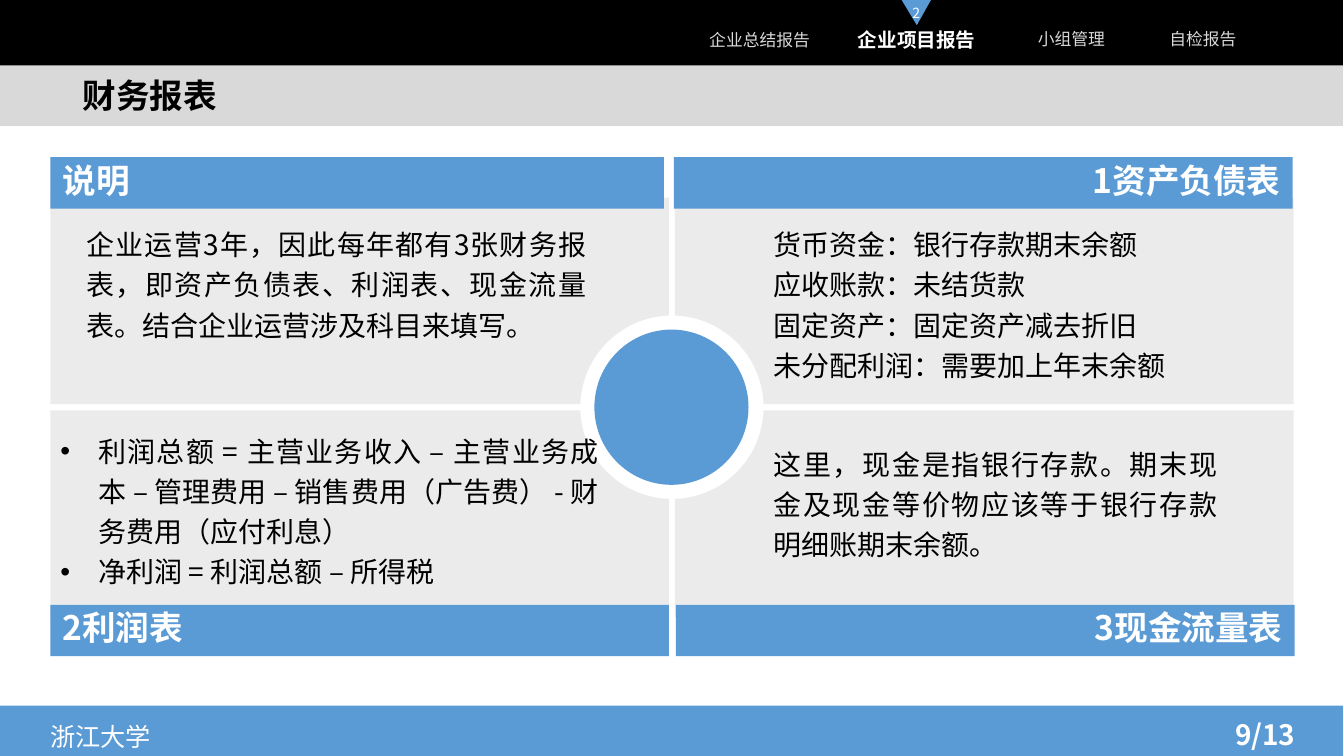
from math import acos, asin, cos, sin

from lxml.etree import SubElement
from pptx import Presentation
from pptx.dml.color import RGBColor
from pptx.enum.shapes import MSO_SHAPE as SHAPE
from pptx.enum.text import MSO_ANCHOR as ANCHOR, PP_ALIGN as ALIGN
from pptx.oxml.ns import qn
from pptx.util import Inches, Pt

BLUE, GREY, BLACK, WHITE = "5B9BD5", "D9D9D9", "000000", "FFFFFF"
CX, CY = 6.67, 4.04
HALF_GAP, PANEL_W, PANEL_H, RING_R = 0.03, 6.14, 2.05, 0.91


def color(value):
    return RGBColor.from_string(value)


class Deck:
    font = "Noto Sans CJK SC"

    def __init__(self, width, height):
        self.prs = Presentation()
        self.prs.slide_width, self.prs.slide_height = Inches(width), Inches(height)
        self.s = self.prs.slides.add_slide(self.prs.slide_layouts[6])

    def paint(self, sp, fill, alpha=None):
        sp.shadow.inherit = False
        sp.fill.solid()
        sp.fill.fore_color.rgb = color(fill)
        sp.line.fill.background()
        if alpha:
            clr = sp._element.spPr.find(qn("a:solidFill"))[0]
            SubElement(clr, qn("a:alpha"), val=str(alpha * 1000))
        return sp

    def shape(self, x, y, w, h, fill, kind=SHAPE.RECTANGLE):
        sp = self.s.shapes.add_shape(kind, Inches(x), Inches(y), Inches(w), Inches(h))
        return self.paint(sp, fill)

    def outline(self, points, fill, alpha=None):
        pts = [(Inches(x), Inches(y)) for x, y in points]
        fb = self.s.shapes.build_freeform(*pts[0])
        fb.add_line_segments(pts[1:], close=True)
        return self.paint(fb.convert_to_shape(), fill, alpha)

    def fill_text(self, sp, text, size=20, ink=BLACK, bold=False, align=ALIGN.LEFT,
                  anchor=ANCHOR.TOP, spacing=None, bullet=False, inset=(0.1, 0.05)):
        tf = sp.text_frame
        tf.word_wrap = True
        tf.vertical_anchor = anchor
        tf.margin_left = tf.margin_right = Inches(inset[0])
        tf.margin_top = tf.margin_bottom = Inches(inset[1])
        for i, line in enumerate(text.split("\n")):
            p = tf.add_paragraph() if i else tf.paragraphs[0]
            p.alignment = align
            if spacing:
                p.line_spacing = spacing
            if bullet:
                pPr = p._p.get_or_add_pPr()
                pPr.set("marL", str(Inches(0.38)))
                pPr.set("indent", str(-Inches(0.38)))
                SubElement(pPr, qn("a:buFont"), typeface="Arial")
                SubElement(pPr, qn("a:buChar"), char="•")
            r = p.add_run()
            r.text = line
            r.font.size, r.font.bold = Pt(size), bold
            r.font.color.rgb = color(ink)
            r.font.name = self.font
            SubElement(r._r.get_or_add_rPr(), qn("a:ea"), typeface=self.font)

    def text(self, x, y, w, h, text, **fmt):
        sp = self.s.shapes.add_textbox(Inches(x), Inches(y), Inches(w), Inches(h))
        self.fill_text(sp, text, **fmt)

    def panel(self, sx, sy):
        start = asin(HALF_GAP / RING_R)
        sweep = acos(HALF_GAP / RING_R) - start
        angles = [start + sweep * i / 24 for i in range(25)]
        right, bottom = HALF_GAP + PANEL_W, HALF_GAP + PANEL_H
        points = [(RING_R * cos(a), RING_R * sin(a)) for a in angles]
        points += [(HALF_GAP, bottom), (right, bottom), (right, HALF_GAP)]
        self.outline([(CX + sx * x, CY + sy * y) for x, y in points], GREY, alpha=50)

    def heading(self, x, y, w, text, align):
        self.fill_text(self.shape(x, y, w, 0.51, BLUE), text, size=24, ink=WHITE, bold=True,
                       align=align, anchor=ANCHOR.MIDDLE, spacing=0.85, inset=(0.12, 0.08))


def main():
    deck = Deck(13.34, 7.5)
    deck.shape(0, 0.6, 13.33, 0.65, GREY)
    deck.shape(0, 0, 13.33, 0.65, BLACK)
    tabs = [
        (6.87, 0.19, 1.34, 0.41, "企业总结报告", False),
        (8.26, 0.16, 1.68, 0.47, "企业项目报告", True),
        (9.91, 0.15, 1.45, 0.47, "小组管理", False),
        (11.39, 0.15, 1.1, 0.47, "自检报告", False),
    ]
    for x, y, w, h, label, active in tabs:
        deck.text(x, y, w, h, label, size=14 if active else 12, bold=active,
                  ink=WHITE if active else GREY, align=ALIGN.CENTER, anchor=ANCHOR.MIDDLE)
    marker = deck.outline([(8.95, 0), (9.24, 0), (9.1, 0.25)], BLUE)
    deck.fill_text(marker, "2", size=10, ink=WHITE, align=ALIGN.CENTER, anchor=ANCHOR.MIDDLE)
    deck.text(0.72, 0.74, 4.25, 0.47, "财务报表", size=24, bold=True, spacing=0.9)

    deck.shape(0, 7, 13.33, 0.54, BLUE)
    deck.text(0.4, 7.05, 1.9, 0.46, "浙江大学", size=18, ink=WHITE, spacing=1.2)
    deck.text(12.16, 7.07, 1.15, 0.44, "9/13", ink=WHITE, bold=True)

    for sx in (-1, 1):
        for sy in (-1, 1):
            deck.panel(sx, sy)

    headings = [
        (0.5, 1.56, 6.09, "说明", ALIGN.LEFT),
        (6.69, 1.56, 6.14, "1资产负债表", ALIGN.RIGHT),
        (0.5, 6, 6.14, "2利润表", ALIGN.LEFT),
        (6.71, 6, 6.14, "3现金流量表", ALIGN.RIGHT),
    ]
    for heading in headings:
        deck.heading(*heading)

    bodies = [
        (0.76, 2.14, 5.16, 1.3, False,
         "企业运营3年，因此每年都有3张财务报表，即资产负债表、利润表、现金流量表。"
         "结合企业运营涉及科目来填写。"),
        (7.58, 2.14, 4.68, 1.7, False,
         "货币资金：银行存款期末余额\n应收账款：未结货款\n"
         "固定资产：固定资产减去折旧\n未分配利润：需要加上年末余额"),
        (0.5, 4.19, 5.54, 1.7, True,
         "利润总额 = 主营业务收入 – 主营业务成本 – 管理费用 – 销售费用（广告费） - "
         "财务费用（应付利息）\n净利润 = 利润总额 – 所得税"),
        (7.58, 4.32, 4.6, 1.3, False,
         "这里，现金是指银行存款。期末现金及现金等价物应该等于银行存款明细账期末余额。"),
    ]
    for x, y, w, h, bullet, text in bodies:
        deck.text(x, y, w, h, text, align=ALIGN.JUSTIFY, spacing=1.2, bullet=bullet)
    deck.shape(5.9, 3.27, 1.53, 1.54, BLUE, SHAPE.OVAL)
    deck.prs.save("out.pptx")


if __name__ == "__main__":
    main()
